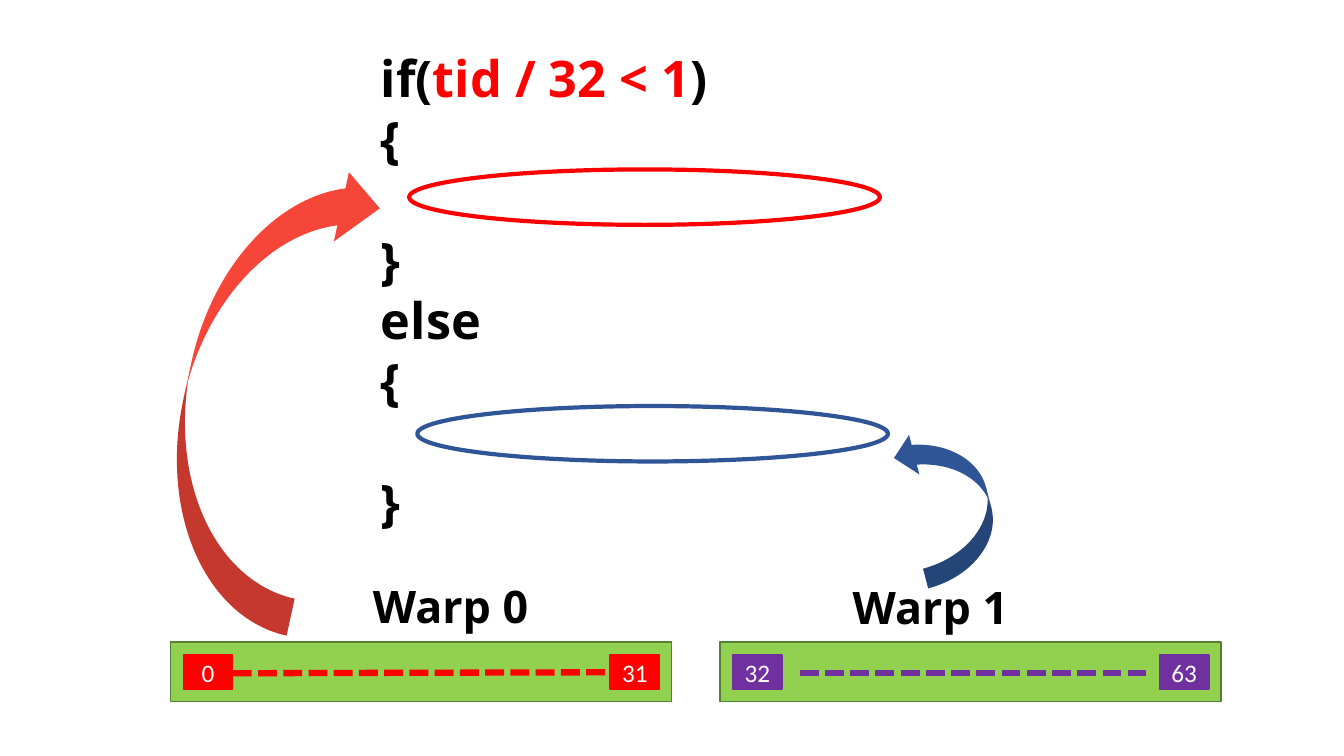
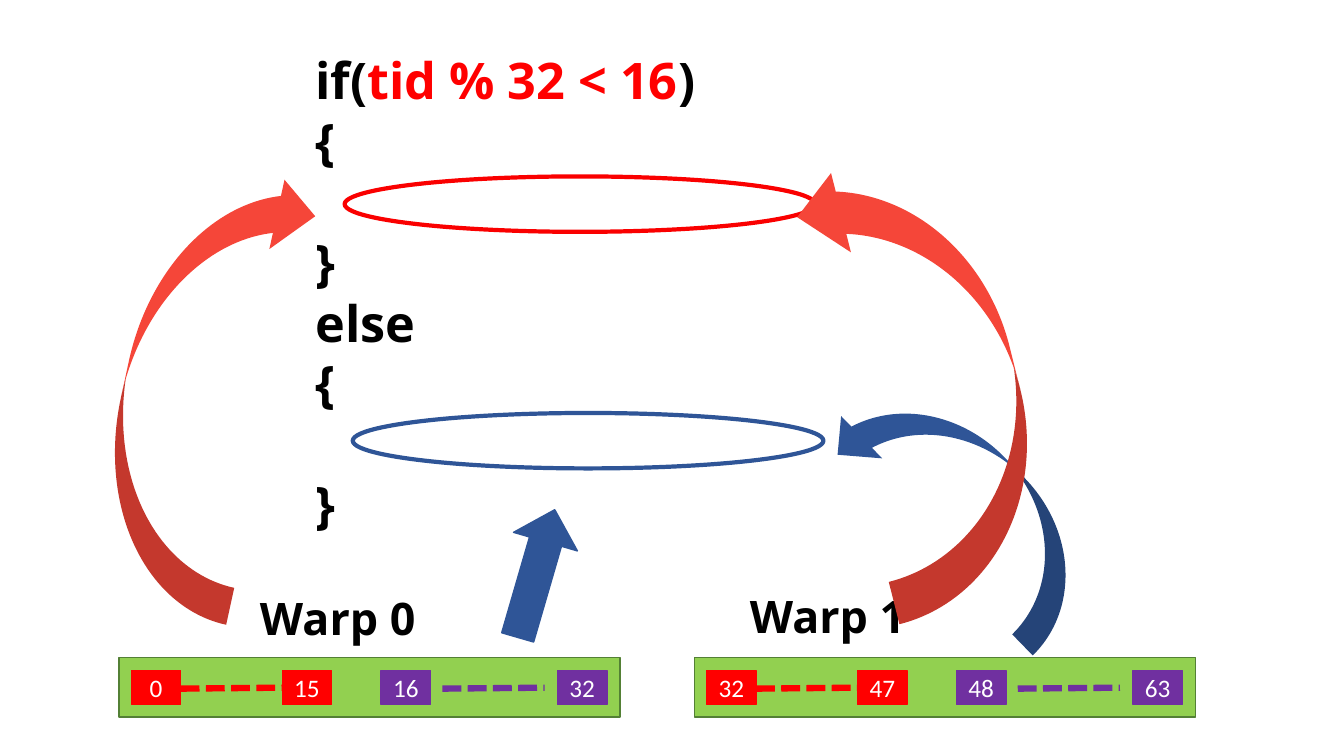
from dataclasses import dataclass

from lxml import etree
from pptx import Presentation
from pptx.dml.color import RGBColor
from pptx.enum import dml, shapes, text
from pptx.oxml import ns
from pptx.util import Pt


@dataclass(frozen=True)
class Theme:
    black: str = "000000"
    white: str = "FFFFFF"
    red: str = "FF0000"
    purple: str = "7030A0"
    blue: str = "2F5597"
    ring_red: str = "FA0000"
    arrow_red: str = "F54639"
    bar_fill: str = "92D050"
    bar_line: str = "538035"
    code_font: str = "Open Sans"
    cell_font: str = "Calibri"
    code_size: float = 36
    label_size: float = 32
    cell_size: float = 18
    code_line: float = 43.5


THEME = Theme()
SHAPE = shapes.MSO_SHAPE
BAR_WIDTH, BAR_HEIGHT = 358, 42.5
CELL_WIDTH, CELL_HEIGHT = 35.3, 24.5
RING_WIDTH, RING_HEIGHT = 336.2, 39.6
LONG_BEND = (0.25, 0.469, 0.25)


def rgb(value):
    return RGBColor.from_string(value)


def add_run(paragraph, words, size, font=THEME.code_font, color=THEME.black, bold=True):
    run = paragraph.add_run()
    run.text = words
    run.font.name = font
    run.font.size = Pt(size)
    run.font.bold = bold
    run.font.color.rgb = rgb(color)


def add_figure(slide, kind, left, top, width, height, fill=None, line=None,
               line_width=1, rotation=0, flip=False, adjustments=()):
    """Add a preset shape; without a colour, its fill or line is left off."""
    shape = slide.shapes.add_shape(kind, Pt(left), Pt(top), Pt(width), Pt(height))
    shape.shadow.inherit = False
    shape.rotation = rotation
    if fill:
        shape.fill.solid()
        shape.fill.fore_color.rgb = rgb(fill)
    else:
        shape.fill.background()
    if line:
        shape.line.color.rgb = rgb(line)
        shape.line.width = Pt(line_width)
    else:
        shape.line.fill.background()
    for index, value in enumerate(adjustments):
        shape.adjustments[index] = value
    if flip:
        shape._element.spPr.xfrm.set("flipH", "1")
    return shape


def add_text_box(slide, left, top, width, height):
    frame = slide.shapes.add_textbox(Pt(left), Pt(top), Pt(width), Pt(height)).text_frame
    frame.word_wrap = True
    return frame


def add_dashes(slide, start, end, color):
    points = [Pt(value) for value in (*start, *end)]
    connector = slide.shapes.add_connector(shapes.MSO_CONNECTOR.STRAIGHT, *points)
    connector.line.color.rgb = rgb(color)
    connector.line.width = Pt(4.5)
    connector.line.dash_style = dml.MSO_LINE.SQUARE_DOT
    etree.SubElement(connector._element.spPr, ns.qn("a:effectLst"))


def add_cell(slide, left, top, number, color):
    cell = add_figure(slide, SHAPE.RECTANGLE, left, top, CELL_WIDTH, CELL_HEIGHT,
                      fill=color, line=color)
    frame = cell.text_frame
    frame.vertical_anchor = text.MSO_ANCHOR.MIDDLE
    frame.margin_left = frame.margin_right = 0
    paragraph = frame.paragraphs[0]
    paragraph.alignment = text.PP_ALIGN.CENTER
    add_run(paragraph, str(number), THEME.cell_size, font=THEME.cell_font,
            color=THEME.white, bold=False)


def add_warp(slide, left, top, ranges):
    """Add a bar of thread ranges, each (first, last, color, cell offsets, dash offsets, slope)."""
    add_figure(slide, SHAPE.RECTANGLE, left, top, BAR_WIDTH, BAR_HEIGHT,
               fill=THEME.bar_fill, line=THEME.bar_line)
    for first, last, color, cells, dashes, slope in ranges:
        for number, offset in zip((first, last), cells):
            add_cell(slide, left + offset, top + 9.2, number, color)
        start, end = (left + offset for offset in dashes)
        add_dashes(slide, (start, top + 22.3), (end, top + 22.3 - slope), color)


def add_label(slide, left, top, words):
    frame = add_text_box(slide, left, top, 226, 46)
    add_run(frame.paragraphs[0], words, THEME.label_size)


def add_code(slide, left, top, condition):
    """Add the if/else code, with one open line inside each pair of braces."""
    frame = add_text_box(slide, left, top, 358, 356.4)
    opening = frame.paragraphs[0]
    add_run(opening, "if(", THEME.code_size)
    add_run(opening, condition, THEME.code_size, color=THEME.red)
    add_run(opening, ")", THEME.code_size)
    for line in ("{", "}", "else", "{", "}"):
        paragraph = frame.add_paragraph()
        add_run(paragraph, line, THEME.code_size)
        if line == "}":
            paragraph.space_before = Pt(THEME.code_line)


def add_branch_rings(slide, left, top):
    add_figure(slide, SHAPE.OVAL, left + 5.8, top + 169, RING_WIDTH, RING_HEIGHT,
               fill=THEME.white, line=THEME.blue, line_width=3)
    add_figure(slide, SHAPE.OVAL, left, top, RING_WIDTH, RING_HEIGHT,
               line=THEME.ring_red, line_width=3)


def add_curved_arrow(slide, left, top, width, height, color, rotation, **options):
    add_figure(slide, SHAPE.CURVED_RIGHT_ARROW, left, top, width, height,
               fill=color, rotation=rotation, **options)


def build_uniform_slide(slide):
    """Each warp takes a single branch."""
    ends = (9.2, 314)
    add_warp(slide, 121.8, 458.6, [(0, 31, THEME.red, ends, (44.5, 314), 0.7)])
    add_warp(slide, 514.2, 458.6, [(32, 63, THEME.purple, ends, (57, 304.5), 0)])
    add_code(slide, 265, 30.2, "tid / 32 < 1")
    add_label(slide, 259.2, 409.7, "Warp 0")
    add_label(slide, 602, 410.4, "Warp 1")
    add_branch_rings(slide, 292.3, 121)
    add_curved_arrow(slide, 134, 108.7, 108, 337.7, THEME.arrow_red, 192.3,
                     flip=True, adjustments=LONG_BEND)
    add_curved_arrow(slide, 648, 303.8, 58.3, 110.9, THEME.blue, 165.3)


def build_divergent_slide(slide):
    """Each warp is split between both branches."""
    for left, (a, b, c, d) in ((85, (0, 15, 16, 32)), (496, (32, 47, 48, 63))):
        add_warp(slide, left, 469.6, [
            (a, b, THEME.red, (8.8, 116.6), (44, 116.6), 0.7),
            (c, d, THEME.purple, (187.2, 313.2), (231, 304), 0.7),
        ])
    add_code(slide, 218.2, 31.7, "tid % 32 < 16")
    add_label(slide, 178.6, 418.3, "Warp 0")
    add_label(slide, 528.5, 416.9, "Warp 1")
    add_branch_rings(slide, 246.2, 126)
    add_curved_arrow(slide, 89.3, 114.5, 108, 324, THEME.arrow_red, 192.3,
                     flip=True, adjustments=LONG_BEND)
    add_curved_arrow(slide, 648.7, 249.1, 84.2, 221, THEME.blue, 135.8)
    add_figure(slide, SHAPE.UP_ARROW, 359.3, 362.2, 47.5, 95,
               fill=THEME.blue, line=THEME.blue, rotation=16.2)
    add_curved_arrow(slide, 600.5, 106.6, 124.6, 329, THEME.arrow_red, 165.9,
                     adjustments=LONG_BEND)


def main():
    presentation = Presentation()
    presentation.slide_width, presentation.slide_height = Pt(960), Pt(540)
    blank_layout = presentation.slide_layouts[6]
    for build in (build_uniform_slide, build_divergent_slide):
        build(presentation.slides.add_slide(blank_layout))
    presentation.save("out.pptx")


if __name__ == "__main__":
    main()
